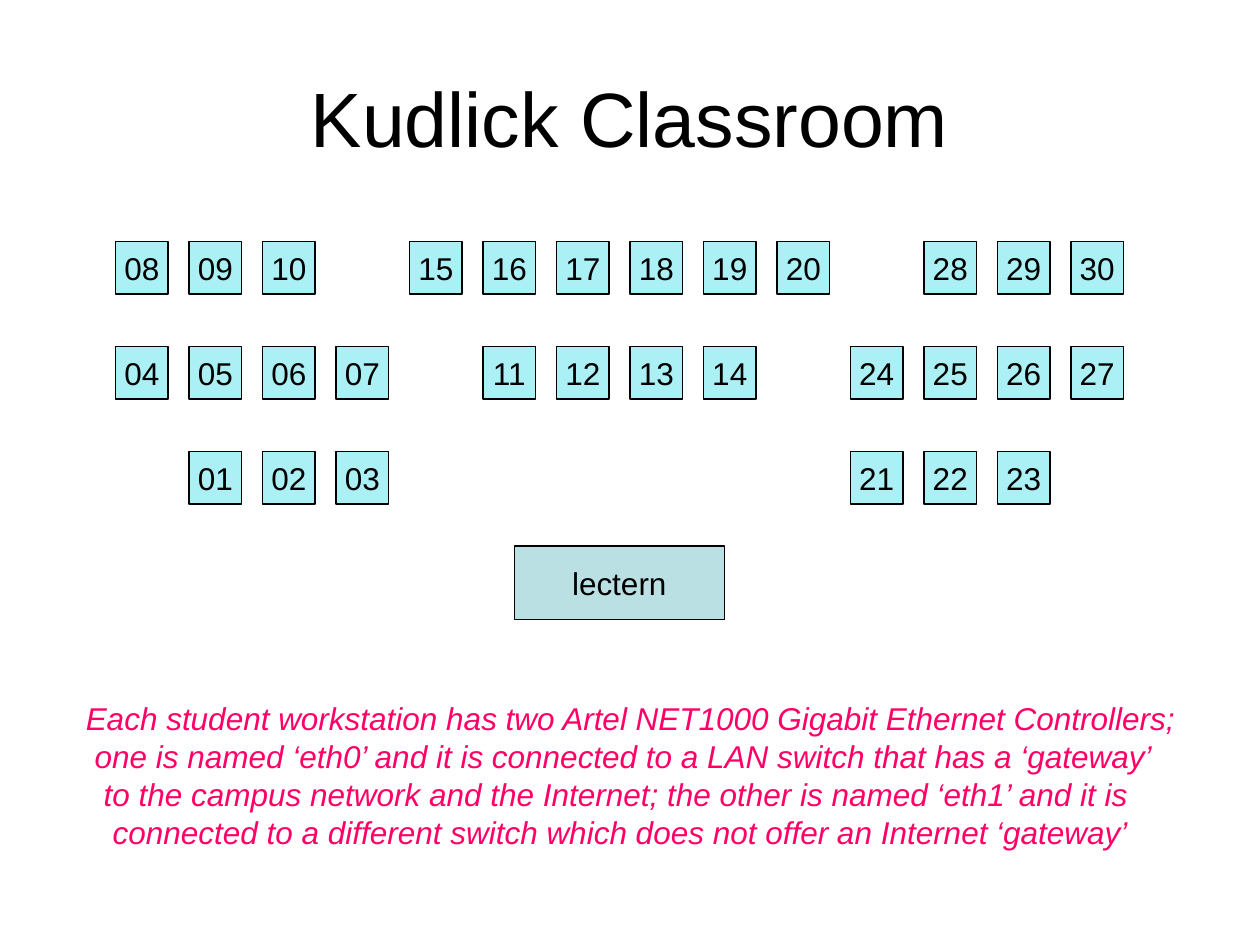
"""Build the classroom seating plan slide."""
import dataclasses
import typing

import pptx
import pptx.dml.color
import pptx.enum.shapes
import pptx.enum.text
import pptx.util

Cm = pptx.util.Cm
Pt = pptx.util.Pt
Align = pptx.enum.text.PP_ALIGN
Anchor = pptx.enum.text.MSO_ANCHOR

COLOURS = {"ink": "000000", "desk": "AAF0F4", "lectern": "BBE0E3", "note": "FF0066"}
FONT = "Arial"
DESK_SIDE = 1.06
DESK_LEFT, DESK_TOP = 2.33, 4.87
COLUMN_PITCH, ROW_PITCH = 19.26 / 13, 4.23 / 2
NOTE_STEP = 0.18
NOTE_LINES = [
    "Each student workstation has two Artel NET1000 Gigabit Ethernet Controllers;",
    "one is named ‘eth0’ and it is connected to a LAN switch that has a ‘gateway’",
    "to the campus network and the Internet; the other is named ‘eth1’ and it is",
    "connected to a different switch which does not offer an Internet ‘gateway’",
]


@dataclasses.dataclass(frozen=True)
class DeskGroup:
    """Neighbouring desks with consecutive numbers."""

    row: int
    column: int
    first: int
    count: int


@dataclasses.dataclass(frozen=True)
class Area:
    """A rectangle on the page in centimetres."""

    left: float
    top: float
    width: float
    height: float

    def lengths(self) -> list[pptx.util.Length]:
        """Return the four lengths in drawing order."""
        return [Cm(value) for value in dataclasses.astuple(self)]


DESK_GROUPS = [
    DeskGroup(0, 0, 8, 3),
    DeskGroup(0, 4, 15, 6),
    DeskGroup(0, 11, 28, 3),
    DeskGroup(1, 0, 4, 4),
    DeskGroup(1, 5, 11, 4),
    DeskGroup(1, 10, 24, 4),
    DeskGroup(2, 1, 1, 3),
    DeskGroup(2, 10, 21, 3),
]


def colour(name: str) -> pptx.dml.color.RGBColor:
    """Look up a named colour."""
    return pptx.dml.color.RGBColor.from_string(COLOURS[name])


def write_text(box: typing.Any, lines: list[str], *, size: float = 18, ink: str = "ink",
               italic: bool = False, align: Align = Align.CENTER,
               anchor: Anchor = Anchor.MIDDLE, wrap: bool = False, step: float = 0) -> None:
    """Fill a box with paragraphs, each indented one step more than the last."""
    frame = box.text_frame
    frame.word_wrap = wrap
    frame.vertical_anchor = anchor
    for index, line in enumerate(lines):
        para = frame.add_paragraph() if index else frame.paragraphs[0]
        para.alignment = align
        if step:
            para._p.get_or_add_pPr().set("marL", str(Cm(index * step)))
        span = para.add_run()
        span.text = line
        span.font.name = FONT
        span.font.size = Pt(size)
        span.font.italic = italic
        span.font.color.rgb = colour(ink)


def draw_block(page: typing.Any, area: Area, text: str, fill: str) -> None:
    """Draw a labelled, outlined rectangle."""
    box = page.shapes.add_shape(pptx.enum.shapes.MSO_SHAPE.RECTANGLE, *area.lengths())
    box.shadow.inherit = False
    box.fill.solid()
    box.fill.fore_color.rgb = colour(fill)
    box.line.color.rgb = colour("ink")
    box.line.width = Pt(0.75)
    write_text(box, [text])


def draw_desks(page: typing.Any, group: DeskGroup) -> None:
    """Draw one group of numbered desks on the seating grid."""
    top = DESK_TOP + group.row * ROW_PITCH
    for offset in range(group.count):
        left = DESK_LEFT + (group.column + offset) * COLUMN_PITCH
        area = Area(left, top, DESK_SIDE, DESK_SIDE)
        draw_block(page, area, f"{group.first + offset:02d}", "desk")


def main() -> None:
    """Create and save the deck."""
    deck = pptx.Presentation()
    deck.slide_width, deck.slide_height = Cm(25.4), Cm(19.05)
    page = deck.slides.add_slide(deck.slide_layouts[6])

    title = page.shapes.add_textbox(*Area(1.27, 0.76, 22.86, 3.18).lengths())
    write_text(title, ["Kudlick Classroom"], size=44, wrap=True)

    for group in DESK_GROUPS:
        draw_desks(page, group)
    draw_block(page, Area(10.37, 11.01, 4.23, 1.48), "lectern", "lectern")

    note = page.shapes.add_textbox(*Area(1.48, 13.97, 22.6, 3.3).lengths())
    note.text_frame.auto_size = pptx.enum.text.MSO_AUTO_SIZE.SHAPE_TO_FIT_TEXT
    write_text(note, NOTE_LINES, ink="note", italic=True, align=Align.LEFT,
               anchor=Anchor.TOP, step=NOTE_STEP)

    deck.save("out.pptx")


if __name__ == "__main__":
    main()
